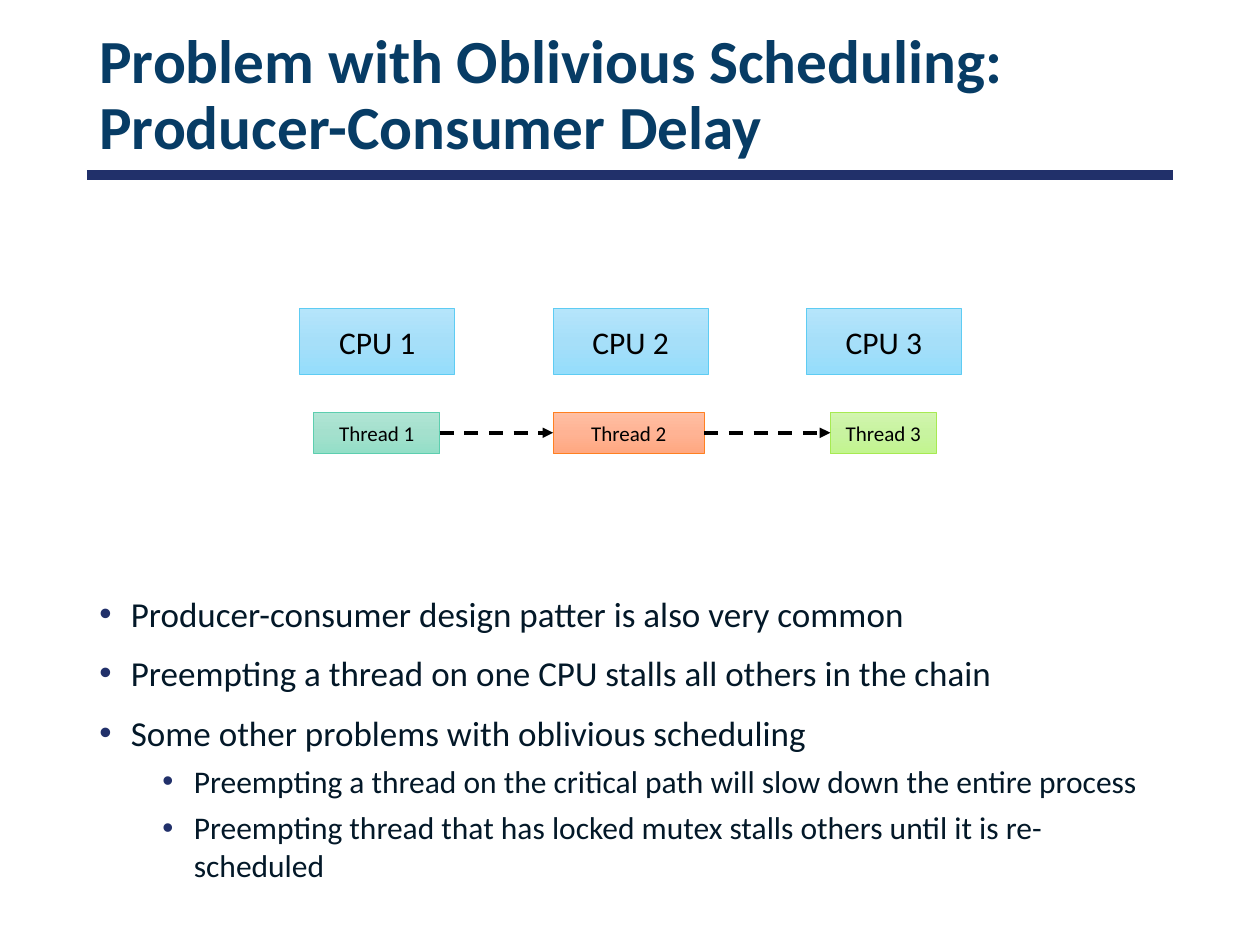
from copy import deepcopy
from dataclasses import dataclass
from itertools import pairwise

from lxml.etree import SubElement
from pptx import Presentation
from pptx.dml.color import RGBColor
from pptx.enum.dml import MSO_LINE
from pptx.enum.shapes import MSO_CONNECTOR, MSO_SHAPE
from pptx.enum.text import MSO_ANCHOR, PP_ALIGN
from pptx.oxml.ns import qn
from pptx.shapes.autoshape import Shape
from pptx.shapes.connector import Connector
from pptx.text.text import TextFrame, _Paragraph
from pptx.util import Inches, Pt

FONT = "Calibri"
COLS = 100
WIDE, HIGH = Inches(10), Inches(7.5)
UNIT = WIDE // COLS

BLACK = RGBColor(0x00, 0x00, 0x00)
NAVY = RGBColor(0x21, 0x30, 0x6A)
TEAL = RGBColor(0x07, 0x3C, 0x65)
INK = RGBColor(0x03, 0x18, 0x28)


@dataclass(frozen=True)
class Theme:
    top: RGBColor
    mid: RGBColor
    low: RGBColor
    edge: RGBColor


@dataclass(frozen=True)
class Box:
    text: str
    left: float
    top: float
    width: float
    height: float
    size: int
    theme: Theme


@dataclass(frozen=True)
class Point:
    text: str
    level: int = 0


BLUE = Theme(RGBColor(0xB5, 0xE5, 0xFB), RGBColor(0xA6, 0xDF, 0xF9),
             RGBColor(0x95, 0xDD, 0xFB), RGBColor(0x5E, 0xCC, 0xF3))
MINT = Theme(RGBColor(0xB1, 0xE5, 0xD5), RGBColor(0xA4, 0xE0, 0xCD),
             RGBColor(0x93, 0xDF, 0xC7), RGBColor(0x5D, 0xCE, 0xAF))
PEACH = Theme(RGBColor(0xFF, 0xBF, 0xA3), RGBColor(0xFF, 0xB3, 0x94),
              RGBColor(0xFF, 0xA8, 0x81), RGBColor(0xFF, 0x80, 0x21))
LIME = Theme(RGBColor(0xD2, 0xF5, 0xAF), RGBColor(0xC8, 0xF3, 0xA0),
             RGBColor(0xC2, 0xF5, 0x8F), RGBColor(0xA7, 0xEA, 0x52))

LEFT, SPAN, RULE = 6.9, 86.2, 13.9
CPUS = [Box(f"CPU {i + 1}", 23.8 + 20.1 * i, 24.5, 12.3, 5.2, 18, BLUE)
        for i in range(3)]
THREADS = [Box(f"Thread {i}", left, 32.7, width, 3.3, 12, theme)
           for i, (left, width, theme) in enumerate(
               [(24.9, 10, MINT), (43.9, 12, PEACH), (65.9, 8.4, LIME)], 1)]
TITLE = ["Problem with Oblivious Scheduling:", "Producer-Consumer Delay"]
POINTS = [
    Point("Producer-consumer design patter is also very common"),
    Point("Preempting a thread on one CPU stalls all others in the chain"),
    Point("Some other problems with oblivious scheduling"),
    Point("Preempting a thread on the critical path will slow down the entire process", 1),
    Point("Preempting thread that has locked mutex stalls others until it is re-scheduled", 1),
]


def grid(*cells: float) -> list[int]:
    return [round(cell * UNIT) for cell in cells]


def add_run(para: _Paragraph, text: str, size: int, color: RGBColor,
            bold: bool = False) -> None:
    run = para.add_run()
    run.text = text
    run.font.name = FONT
    run.font.size = Pt(size)
    run.font.bold = bold
    run.font.color.rgb = color


def add_frame(shapes, top: float, height: float) -> TextFrame:
    frame = shapes.add_textbox(*grid(LEFT, top, SPAN, height)).text_frame
    frame.word_wrap = True
    return frame


def shade(shape: Shape, theme: Theme) -> None:
    fill = shape.fill
    fill.gradient()
    fill.gradient_angle = 270
    stops = shape._element.spPr.find(".//" + qn("a:gsLst"))
    stops.insert(1, deepcopy(stops[0]))
    tones = (theme.top, theme.mid, theme.low)
    for stop, share, tone in zip(fill.gradient_stops, (0, 0.5, 1), tones):
        stop.position = share
        stop.color.rgb = tone


def add_box(shapes, box: Box) -> Shape:
    shape = shapes.add_shape(
        MSO_SHAPE.RECTANGLE, *grid(box.left, box.top, box.width, box.height))
    shape.shadow.inherit = False
    shade(shape, box.theme)
    shape.line.color.rgb = box.theme.edge
    shape.line.width = Pt(0.5)
    frame = shape.text_frame
    frame.vertical_anchor = MSO_ANCHOR.MIDDLE
    para = frame.paragraphs[0]
    para.alignment = PP_ALIGN.CENTER
    add_run(para, box.text, box.size, BLACK)
    return shape


def add_line(shapes, ends: list[int], color: RGBColor, width: int) -> Connector:
    line = shapes.add_connector(MSO_CONNECTOR.STRAIGHT, *ends)
    line.line.color.rgb = color
    line.line.width = Pt(width)
    SubElement(line._element.spPr, qn("a:effectLst"))
    return line


def add_arrow(shapes, start: Shape, end: Shape) -> None:
    arrow = add_line(shapes, [0, 0, 0, 0], BLACK, 2)
    arrow.begin_connect(start, 3)
    arrow.end_connect(end, 1)
    arrow.line.dash_style = MSO_LINE.DASH
    SubElement(arrow.line._get_or_add_ln(), qn("a:tailEnd"), type="triangle")


def add_point(para: _Paragraph, point: Point) -> None:
    para.level = point.level
    para.space_before = Pt(5 if point.level else 10)
    props = para._p.get_or_add_pPr()
    props.set("marL", str(Inches(0.25 + 0.5 * point.level)))
    props.set("indent", str(-Inches(0.25)))
    tint = SubElement(props, qn("a:buClr"))
    SubElement(tint, qn("a:srgbClr"), val=str(NAVY))
    SubElement(props, qn("a:buFont"), typeface="Arial")
    SubElement(props, qn("a:buChar"), char="•")
    add_run(para, point.text, 18 if point.level else 20, INK)


def main() -> None:
    deck = Presentation()
    deck.slide_width, deck.slide_height = WIDE, HIGH
    shapes = deck.slides.add_slide(deck.slide_layouts[6]).shapes

    add_line(shapes, grid(LEFT, RULE, LEFT + SPAN, RULE), NAVY, 6)

    frame = add_frame(shapes, 2.3, 10.8)
    frame.vertical_anchor = MSO_ANCHOR.MIDDLE
    head = frame.paragraphs[0]
    head.line_spacing = 0.9
    for i, text in enumerate(TITLE):
        if i:
            head.add_line_break()
        add_run(head, text, 35, TEAL, True)

    frame = add_frame(shapes, 46.5, 26.2)
    for i, point in enumerate(POINTS):
        add_point(frame.add_paragraph() if i else frame.paragraphs[0], point)

    group = shapes.add_group_shape()
    for box in CPUS:
        add_box(group.shapes, box)

    threads = [add_box(shapes, box) for box in THREADS]
    for start, end in pairwise(threads):
        add_arrow(shapes, start, end)

    deck.save("out.pptx")


if __name__ == "__main__":
    main()
